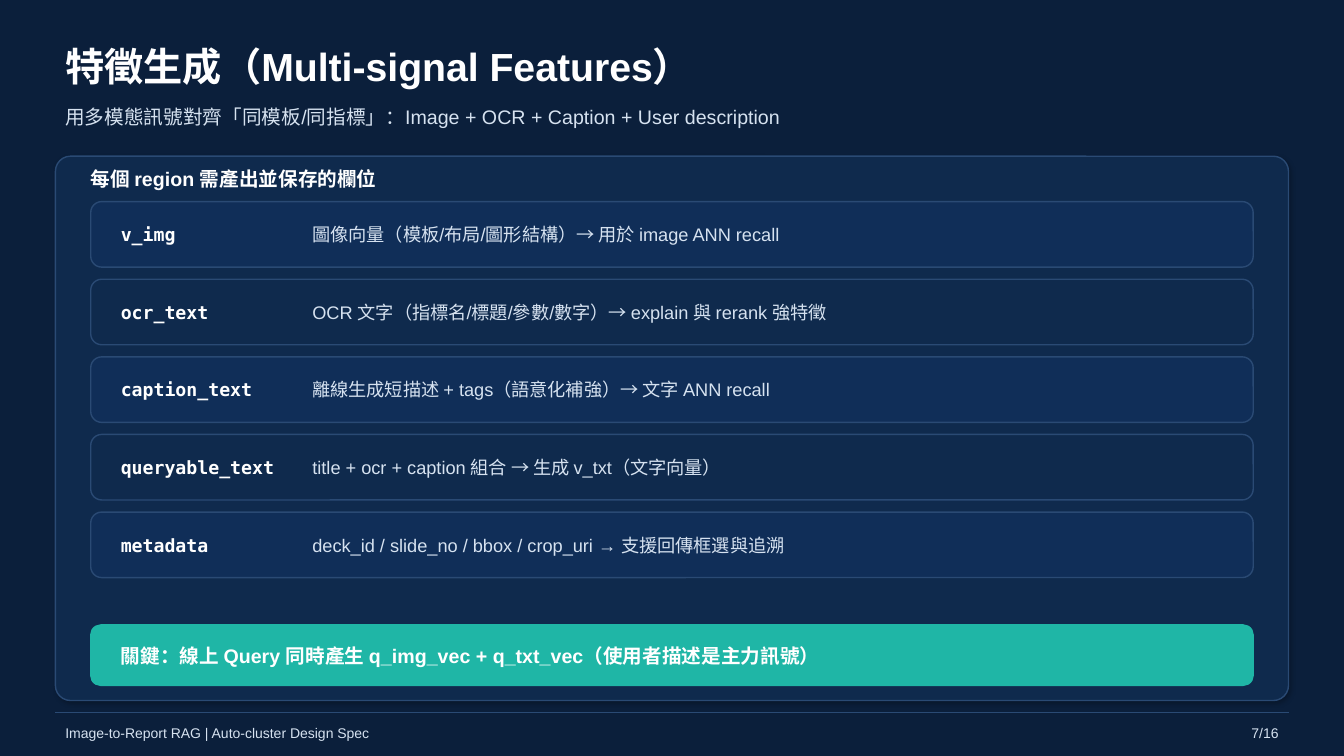
from dataclasses import dataclass

from lxml import etree
from pptx import Presentation
from pptx.dml.color import RGBColor
from pptx.enum import shapes, text
from pptx.oxml import ns
from pptx.util import Inches, Pt


@dataclass(frozen=True)
class Theme:
    background: str = "0B1F3B"
    panel: str = "0F2A4D"
    row_alt: str = "102E58"
    outline: str = "2A4A74"
    accent: str = "1FB6A6"
    white: str = "FFFFFF"
    muted: str = "D6E2F0"
    sans: str = "Arial"
    mono: str = "DejaVu Sans Mono"
    title: int = 28
    heading: int = 14
    body: int = 13
    footer: int = 10


THEME = Theme()


@dataclass(frozen=True)
class Box:
    left: float
    top: float
    width: float
    height: float

    def lengths(self) -> list:
        return [Inches(v) for v in (self.left, self.top, self.width, self.height)]


@dataclass(frozen=True)
class Style:
    size: int
    color: str
    bold: bool = False
    font: str = THEME.sans
    align: text.PP_ALIGN = text.PP_ALIGN.LEFT


@dataclass(frozen=True)
class Field:
    name: str
    description: str


HEADING = Style(THEME.heading, THEME.white, bold=True)
FIELD_NAME = Style(THEME.body, THEME.white, bold=True, font=THEME.mono)
FIELD_TEXT = Style(THEME.body, THEME.muted)
MARGIN, CONTENT_WIDTH = 0.55, 12.23
PANEL_HEIGHT, CORNER = 5.4, 0.15
ROW_LEFT, ROW_TOP, ROW_WIDTH, ROW_HEIGHT, ROW_PITCH = 0.9, 2, 11.53, 0.65, 0.77
FIELDS = [
    Field("v_img", "圖像向量（模板/布局/圖形結構）→ 用於 image ANN recall"),
    Field("ocr_text", "OCR 文字（指標名/標題/參數/數字）→ explain 與 rerank 強特徵"),
    Field("caption_text", "離線生成短描述 + tags（語意化補強）→ 文字 ANN recall"),
    Field("queryable_text", "title + ocr + caption 組合 → 生成 v_txt（文字向量）"),
    Field("metadata", "deck_id / slide_no / bbox / crop_uri → 支援回傳框選與追溯"),
]


def write(sp, content: str, style: Style) -> None:
    tf = sp.text_frame
    tf.text = content
    tf.word_wrap = True
    tf.auto_size = text.MSO_AUTO_SIZE.NONE
    tf.vertical_anchor = text.MSO_ANCHOR.MIDDLE
    p = tf.paragraphs[0]
    p.alignment = style.align
    p.font.name = style.font
    p.font.size = Pt(style.size)
    p.font.bold = style.bold
    p.font.color.rgb = RGBColor.from_string(style.color)


def add_text(s, box: Box, content: str, style: Style) -> None:
    write(s.shapes.add_textbox(*box.lengths()), content, style)


def add_card(s, box: Box, fill: str, line: str):
    sp = s.shapes.add_shape(shapes.MSO_SHAPE.ROUNDED_RECTANGLE, *box.lengths())
    sp.shadow.inherit = False
    sp.fill.solid()
    sp.fill.fore_color.rgb = RGBColor.from_string(fill)
    sp.line.color.rgb = RGBColor.from_string(line)
    sp.line.width = Pt(1)
    return sp


def add_soft_shadow(sp) -> None:
    effects = sp._element.spPr.find(ns.qn("a:effectLst"))
    shadow = etree.SubElement(effects, ns.qn("a:outerShdw"), blurRad=str(Pt(3)),
                              dist=str(Pt(2)), dir=str(45 * 60000), rotWithShape="0")
    color = etree.SubElement(shadow, ns.qn("a:srgbClr"), val="000000")
    etree.SubElement(color, ns.qn("a:alpha"), val="25000")


def add_rule(s, left: float, right: float, y: float) -> None:
    rule = s.shapes.add_connector(shapes.MSO_CONNECTOR.STRAIGHT, Inches(left),
                                  Inches(y), Inches(right), Inches(y))
    rule.line.color.rgb = RGBColor.from_string(THEME.outline)
    rule.line.width = Pt(1)
    etree.SubElement(rule._element.spPr, ns.qn("a:effectLst"))


def add_field(s, index: int, field: Field) -> None:
    top = ROW_TOP + index * ROW_PITCH
    fill = THEME.panel if index % 2 else THEME.row_alt
    add_card(s, Box(ROW_LEFT, top, ROW_WIDTH, ROW_HEIGHT), fill, THEME.outline)
    add_text(s, Box(1.1, top, 1.8, ROW_HEIGHT), field.name, FIELD_NAME)
    add_text(s, Box(3, top, 9.23, ROW_HEIGHT), field.description, FIELD_TEXT)


def main() -> None:
    prs = Presentation()
    prs.slide_width, prs.slide_height = Inches(13.33), Inches(7.5)
    s = prs.slides.add_slide(prs.slide_layouts[5])
    s.background.fill.solid()
    s.background.fill.fore_color.rgb = RGBColor.from_string(THEME.background)

    # Title and subtitle
    title = s.shapes.title
    title.left, title.top, title.width, title.height = Box(
        MARGIN, 0.35, CONTENT_WIDTH, 0.6).lengths()
    write(title, "特徵生成（Multi-signal Features）",
          Style(THEME.title, THEME.white, bold=True))
    add_text(s, Box(MARGIN, 0.98, CONTENT_WIDTH, 0.35),
             "用多模態訊號對齊「同模板/同指標」：Image + OCR + Caption + User description",
             Style(THEME.heading, THEME.muted))

    # Panel, ending above the footer, with one row per field
    panel = add_card(s, Box(MARGIN, 1.55, CONTENT_WIDTH, PANEL_HEIGHT),
                     THEME.panel, THEME.outline)
    panel.adjustments[0] = CORNER / PANEL_HEIGHT
    add_soft_shadow(panel)
    add_text(s, Box(0.8, 1.62, 11.73, 0.3), "每個 region 需產出並保存的欄位", HEADING)
    for index, field in enumerate(FIELDS):
        add_field(s, index, field)

    # Key message
    add_card(s, Box(ROW_LEFT, 6.2, ROW_WIDTH, 0.6), THEME.accent, THEME.accent)
    add_text(s, Box(1.1, 6.2, 11.13, 0.6),
             "關鍵：線上 Query 同時產生 q_img_vec + q_txt_vec（使用者描述是主力訊號）", HEADING)

    # Footer
    add_rule(s, MARGIN, MARGIN + CONTENT_WIDTH, 7.07)
    add_text(s, Box(MARGIN, 7.15, 10.73, 0.25),
             "Image-to-Report RAG | Auto-cluster Design Spec",
             Style(THEME.footer, THEME.muted))
    add_text(s, Box(11.78, 7.15, 1, 0.25), "7/16",
             Style(THEME.footer, THEME.muted, align=text.PP_ALIGN.RIGHT))

    prs.save("out.pptx")


if __name__ == "__main__":
    main()
